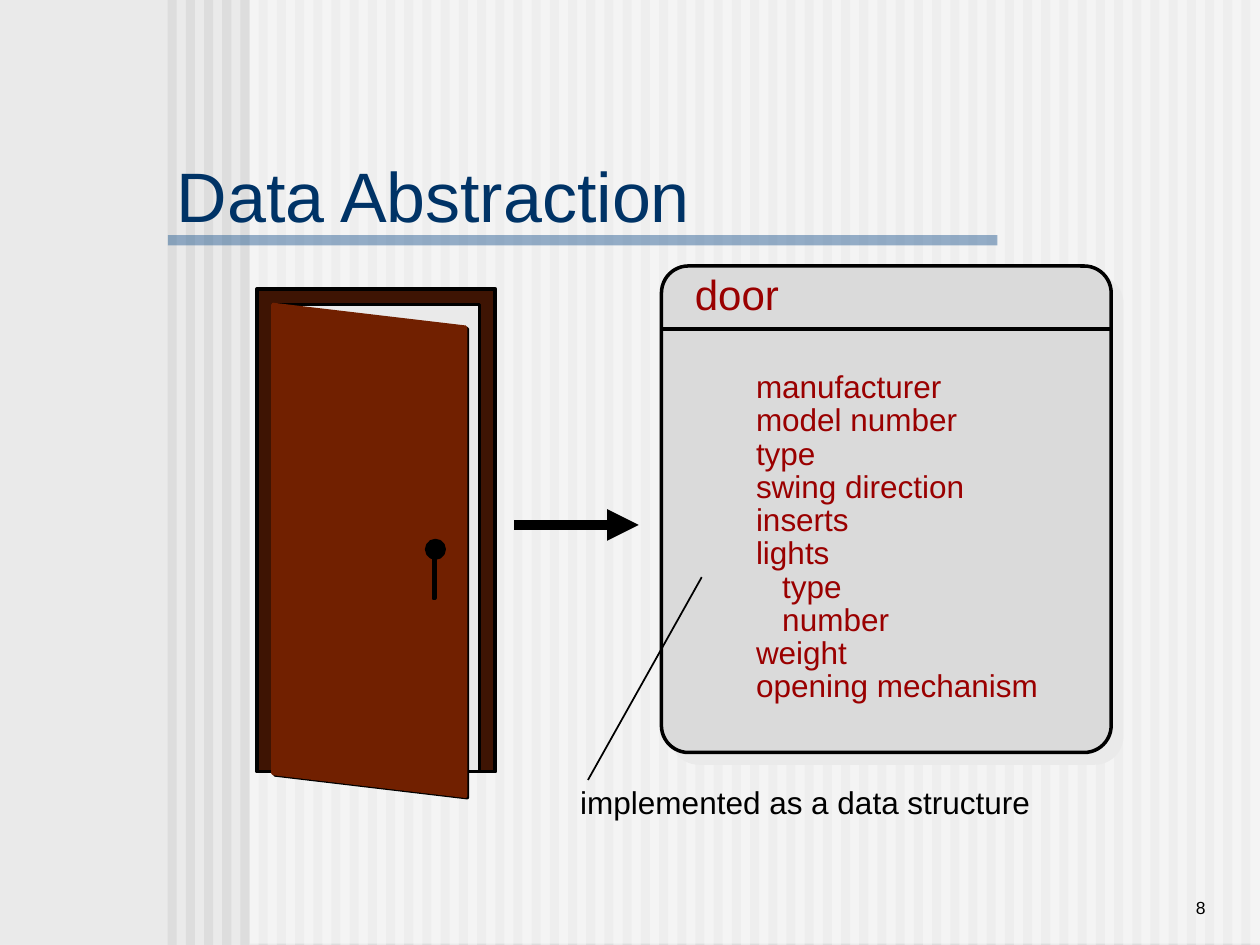
from dataclasses import dataclass

from lxml import etree
from pptx import Presentation
from pptx.dml.color import RGBColor
from pptx.enum import shapes, text
from pptx.oxml import ns
from pptx.util import Pt

BLACK = RGBColor(0x00, 0x00, 0x00)
WHITE = RGBColor(0xFF, 0xFF, 0xFF)
PAPER = RGBColor(0xEA, 0xEA, 0xEA)
STRIPE = RGBColor(0xDD, 0xDD, 0xDD)
RULE = RGBColor(0x33, 0x66, 0x99)
NAVY = RGBColor(0x00, 0x33, 0x66)
PANEL = RGBColor(0xDA, 0xDA, 0xDA)
RED = RGBColor(0x9A, 0x00, 0x00)
FRAME = RGBColor(0x3E, 0x14, 0x03)
DOOR = RGBColor(0x71, 0x20, 0x00)

FONT = "Arial"
STRIPE_COUNT = 60
STRIPE_LEFT = 95.8
STRIPE_PITCH = 10.4
SLIDE_WIDTH = 720
SLIDE_HEIGHT = 540
LINE_PITCH = 19
SUB_INDENT = 15

RECT = shapes.MSO_SHAPE.RECTANGLE
OVAL = shapes.MSO_SHAPE.OVAL
ROUNDED = shapes.MSO_SHAPE.ROUNDED_RECTANGLE


@dataclass
class Block:
    left: float
    top: float
    width: float
    height: float
    fill: RGBColor
    line: RGBColor | None = None
    alpha: int = 100
    kind: int = RECT


@dataclass
class Label:
    left: float
    top: float
    width: float
    height: float
    words: str
    size: float
    color: RGBColor
    wrap: bool = False
    align: int = text.PP_ALIGN.LEFT
    anchor: int = text.MSO_ANCHOR.TOP


@dataclass
class Stroke:
    start: tuple[float, float]
    end: tuple[float, float]
    width: float
    arrow: bool = False


@dataclass
class Attribute:
    name: str
    indent: float = 0


ATTRIBUTES = [
    Attribute("manufacturer"),
    Attribute("model number"),
    Attribute("type"),
    Attribute("swing direction"),
    Attribute("inserts"),
    Attribute("lights"),
    Attribute("type", SUB_INDENT),
    Attribute("number", SUB_INDENT),
    Attribute("weight"),
    Attribute("opening mechanism"),
]


def add_child(parent, tag: str, **attributes):
    return etree.SubElement(parent, ns.qn(tag), attributes)


def paint(shape, fill: RGBColor | None, line: RGBColor | None, alpha: int = 100) -> None:
    shape.shadow.inherit = False
    if fill is None:
        shape.fill.background()
    else:
        shape.fill.solid()
        shape.fill.fore_color.rgb = fill
    if alpha < 100:
        color = shape.element.spPr.find(ns.qn("a:solidFill"))[0]
        add_child(color, "a:alpha", val=str(alpha * 1000))
    if line is None:
        shape.line.fill.background()
    else:
        shape.line.color.rgb = line
        shape.line.width = Pt(2)


def draw_block(page, block: Block):
    shape = page.shapes.add_shape(
        block.kind, Pt(block.left), Pt(block.top), Pt(block.width), Pt(block.height))
    paint(shape, block.fill, block.line, block.alpha)
    return shape


def draw_leaf(page, points: list[tuple[float, float]], fill: RGBColor | None, line: RGBColor) -> None:
    corners = [(Pt(x), Pt(y)) for x, y in points]
    builder = page.shapes.build_freeform(*corners[0])
    builder.add_line_segments(corners[1:], close=True)
    paint(builder.convert_to_shape(), fill, line)


def draw_stroke(page, stroke: Stroke) -> None:
    ends = [Pt(value) for value in (*stroke.start, *stroke.end)]
    connector = page.shapes.add_connector(shapes.MSO_CONNECTOR.STRAIGHT, *ends)
    connector.line.color.rgb = BLACK
    connector.line.width = Pt(stroke.width)
    if stroke.arrow:
        add_child(connector.line._get_or_add_ln(), "a:tailEnd", type="triangle")
    add_child(connector.element.spPr, "a:effectLst")


def format_runs(para, size: float, color: RGBColor) -> None:
    for span in para.runs:
        span.font.name = FONT
        span.font.size = Pt(size)
        span.font.color.rgb = color


def fill_label(shape, label: Label) -> None:
    shape.left, shape.top = Pt(label.left), Pt(label.top)
    shape.width, shape.height = Pt(label.width), Pt(label.height)
    frame = shape.text_frame
    frame.text = label.words
    frame.word_wrap = label.wrap
    frame.vertical_anchor = label.anchor
    frame.auto_size = text.MSO_AUTO_SIZE.NONE
    for para in frame.paragraphs:
        para.alignment = label.align
        format_runs(para, label.size, label.color)


def draw_label(page, label: Label) -> None:
    box = page.shapes.add_textbox(0, 0, 0, 0)
    fill_label(box, label)


def bring_to_front(shape) -> None:
    shape.element.getparent().append(shape.element)


def draw_background(page) -> None:
    page.background.fill.solid()
    page.background.fill.fore_color.rgb = PAPER
    for index in range(STRIPE_COUNT):
        left = STRIPE_LEFT + index * STRIPE_PITCH
        draw_block(page, Block(left, 0, STRIPE_PITCH / 2, SLIDE_HEIGHT, STRIPE))
    draw_block(page, Block(142.8, 0, SLIDE_WIDTH - 142.8, 539.3, WHITE, alpha=50))
    draw_block(page, Block(96, 134.4, 474, 5.8, RULE, alpha=50))


def draw_title(page) -> None:
    title = page.shapes.title
    fill_label(title, Label(96, 84.5, 306, 51.5, "Data Abstraction", 40, NAVY))
    frame = title.text_frame
    frame.margin_left = frame.margin_right = Pt(5)
    frame.margin_top = frame.margin_bottom = Pt(2.5)
    frame.paragraphs[0].line_spacing = 1.0
    bring_to_front(title)


def draw_panel(page) -> None:
    panel = draw_block(page, Block(378, 152, 257, 278, PANEL, BLACK, kind=ROUNDED))
    panel.adjustments[0] = 0.06
    effects = panel.element.spPr.find(ns.qn("a:effectLst"))
    shadow = add_child(effects, "a:outerShdw", dist=str(Pt(8.5)), dir="2700000",
                       algn="ctr", rotWithShape="0")
    add_child(shadow, "a:srgbClr", val=str(PAPER))
    draw_stroke(page, Stroke((378, 188), (634.5, 188), 2))
    draw_label(page, Label(390, 150, 63, 36, "door", 24, RED))


def draw_attributes(page) -> None:
    body = page.placeholders[1]
    names = "\n".join(item.name for item in ATTRIBUTES)
    fill_label(body, Label(424.8, 208.8, 180, 200, names, 18, RED))
    for para, item in zip(body.text_frame.paragraphs, ATTRIBUTES):
        para.line_spacing = Pt(LINE_PITCH)
        para.space_before = para.space_after = Pt(0)
        properties = para._p.get_or_add_pPr()
        properties.set("marL", str(Pt(item.indent)))
        properties.set("indent", "0")
        add_child(properties, "a:buNone")
    bring_to_front(body)


def draw_door(page) -> None:
    draw_block(page, Block(147, 165, 136, 276, FRAME, BLACK))
    draw_block(page, Block(156, 174, 118, 267, PAPER, BLACK))
    leaf = [(156, 174), (266, 187), (266, 455), (156, 442)]
    draw_leaf(page, [(x + 1, y + 0.8) for x, y in leaf], None, BLACK)
    draw_leaf(page, leaf, DOOR, DOOR)
    draw_block(page, Block(243.8, 308.9, 10, 10, BLACK, BLACK, kind=OVAL))
    draw_block(page, Block(247.7, 318.4, 0.8, 23.5, BLACK, BLACK))


def main() -> None:
    deck = Presentation()
    deck.slide_width, deck.slide_height = Pt(SLIDE_WIDTH), Pt(SLIDE_HEIGHT)
    page = deck.slides.add_slide(deck.slide_layouts[1])
    draw_background(page)
    draw_title(page)
    draw_panel(page)
    draw_stroke(page, Stroke((401, 329.8), (336, 445.7), 1))
    draw_label(page, Label(324.5, 444, 271.5, 29, "implemented as a data structure", 18, BLACK))
    draw_attributes(page)
    draw_door(page)
    draw_stroke(page, Stroke((294, 300), (365, 300), 6, arrow=True))
    draw_label(page, Label(594, 492, 102, 36, "8", 10, BLACK, True,
                           text.PP_ALIGN.RIGHT, text.MSO_ANCHOR.BOTTOM))
    deck.save("out.pptx")


if __name__ == "__main__":
    main()
